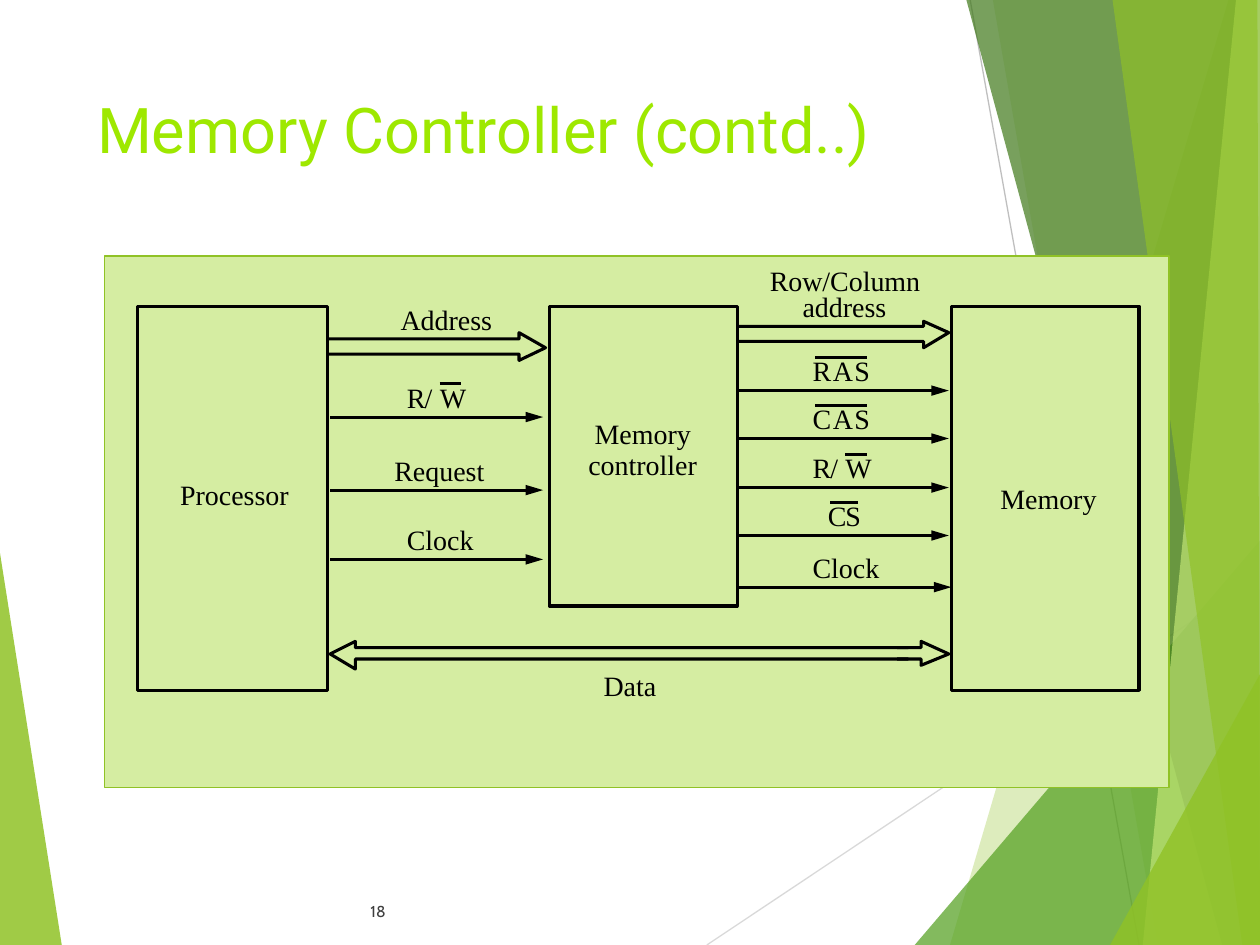
from lxml import etree
from pptx import Presentation
from pptx import util as u
from pptx.dml.color import RGBColor
from pptx.enum import shapes, text
from pptx.oxml.ns import qn

# Theme: colours, fonts and sizes
THEME = {
    "title": {"font": "Roboto", "size": 36, "color": "9EE800"},
    "number": {"font": "Cabin", "size": 9, "color": "3F3F3F"},
    "label": {"font": "Times New Roman", "size": 16, "color": "000000"},
    "ink": ("000000", 1.75),
    "panel": "D5EDA2",
    "accent": ("90C226", 1),
}

# Content, positions in inches
WIDTH, HEIGHT = 10, 7.5
TITLE = ("Memory Controller (contd..)", (0.67, 0.67, 6.94, 1.44))
NUMBER = ("18", (2.89, 7.08, 6.02, 0.3))
PANEL = (0.83, 2.03, 8.45, 4.22)

RAYS = [((5.61, 7.5), (10, 4.57), "D9D9D9"), ((7.7, 0), (9.04, 7.5), "BFBFBF")]
LEFT_FACET = ("90C226", 85, [(0, 4.39), (0.49, 7.5), (0, 7.5)])
RIGHT_FACETS = [  # colour, opacity, points
    ("90C226", 30, [(9.75, 0), (7.54, 7.5), (10, 7.5), (10, 0)]),
    ("90C226", 20, [(7.88, 0), (9.19, 7.5), (10, 7.5), (10, 0)]),
    ("54A021", 72, [(7.26, 7.5), (10, 4.29), (10, 7.5)]),
    ("3F7819", 70, [(7.67, 0), (9.7, 7.5), (10, 7.5), (10, 0)]),
    ("C0E474", 70, [(9.81, 0), (9.07, 7.5), (10, 7.5), (10, 0)]),
    ("90C226", 65, [(8.83, 0), (9.86, 7.5), (10, 7.5), (9.98, 0)]),
    ("90C226", 80, [(8.81, 7.5), (10, 5.35), (10, 7.5)]),
]

UNITS = [(1.09, 2.43, 1.51, 3.05), (7.55, 2.43, 1.49, 3.05), (4.36, 2.43, 1.49, 2.38)]
LABELS = [  # text, left, top, width
    ("Processor", 1.43, 3.79, 0.87),
    ("Memory", 4.72, 3.31, 0.77),
    ("controller", 4.67, 3.55, 0.87),
    ("Memory", 7.94, 3.82, 0.77),
    ("Address", 3.18, 2.4, 0.73),
    ("Row/Column", 6.11, 2.09, 1.2),
    ("address", 6.37, 2.3, 0.67),
    ("Data", 4.79, 5.31, 0.42),
]
BUSES = [  # tail, neck, tip, then heights: head top, top, tip, bottom, head bottom
    (5.85, 7.33, 7.53, (2.55, 2.59, 2.64, 2.71, 2.76)),
    (7.21, 2.82, 2.62, (5.09, 5.14, 5.19, 5.23, 5.31)),
    (7.12, 7.31, 7.53, (5.09, 5.14, 5.19, 5.23, 5.28)),
    (2.6, 4.12, 4.33, (2.64, 2.69, 2.76, 2.81, 2.86)),
]
SIGNALS = [  # name, label left, line height, line start, line end
    ("RAS", 6.45, 3.1, 5.85, 7.53),
    ("CAS", 6.45, 3.48, 5.85, 7.53),
    ("R/W", 6.45, 3.87, 5.85, 7.53),
    ("CS", 6.57, 4.25, 5.85, 7.53),
    ("Clock", 6.45, 4.66, 5.85, 7.55),
    ("R/W", 3.23, 3.31, 2.62, 4.31),
    ("Request", 3.13, 3.89, 2.62, 4.31),
    ("Clock", 3.23, 4.44, 2.62, 4.31),
]
# Overlined names: offset of each letter, and start and end of the bar
BARRED = {
    "RAS": ((0, 0.16, 0.33), (0.02, 0.43)),
    "CAS": ((0, 0.16, 0.33), (0.02, 0.43)),
    "R/W": ((0, 0.14, 0.26), (0.26, 0.43)),
    "CS": ((0, 0.14), (0.02, 0.24)),
}
WORD_WIDTHS = {"R": 0.15, "A": 0.16, "S": 0.12, "C": 0.15, "/": 0.06, "W": 0.21,
               "Clock": 0.53, "Request": 0.72}
LABEL_HEIGHT, LABEL_RISE, BAR_RISE = 0.27, 0.29, 0.265


def length(inches):
    return u.Cm(inches * 2.54)


def assign(target, values):
    for name, value in values.items():
        setattr(target, name, value)


def set_line(shape, color, width):
    shape.line.color.rgb = RGBColor.from_string(color)
    shape.line.width = u.Pt(width)


def set_fill(shape, color, opacity=100):
    shape.fill.solid()
    shape.fill.fore_color.rgb = RGBColor.from_string(color)
    if opacity < 100:
        tint = shape.fill._xPr.find(qn("a:solidFill"))[0]
        etree.SubElement(tint, qn("a:alpha"), val=str(opacity * 1000))


def write(box, words, style, inset, **frame_values):
    frame = box.text_frame
    margins = {f"margin_{side}": length(inset) for side in ("left", "right", "top", "bottom")}
    assign(frame, {**margins, **frame_values})
    para = frame.paragraphs[0]
    para.alignment = text.PP_ALIGN.LEFT
    span = para.add_run()
    span.text = words
    assign(span.font, {"name": style["font"], "size": u.Pt(style["size"])})
    span.font.color.rgb = RGBColor.from_string(style["color"])


def add_label(page, words, left, top, width):
    box = page.shapes.add_textbox(*map(length, (left, top, width, LABEL_HEIGHT)))
    write(box, words, THEME["label"], 0, word_wrap=False,
          auto_size=text.MSO_AUTO_SIZE.SHAPE_TO_FIT_TEXT)


def add_line(page, start, end, color, width, arrow=False):
    line = page.shapes.add_connector(shapes.MSO_CONNECTOR.STRAIGHT, *map(length, start + end))
    set_line(line, color, width)
    if arrow:
        etree.SubElement(line.line._get_or_add_ln(), qn("a:tailEnd"),
                         type="triangle", w="med", len="lg")
    etree.SubElement(line._element.spPr, qn("a:effectLst"))


def add_outline(page, points, close):
    points = [tuple(map(length, point)) for point in points]
    builder = page.shapes.build_freeform(*points[0])
    builder.add_line_segments(points[1:], close=close)
    shape = builder.convert_to_shape()
    shape.shadow.inherit = False
    return shape


def add_facet(page, color, opacity, points):
    facet = add_outline(page, points, close=True)
    set_fill(facet, color, opacity)
    facet.line.fill.background()


def add_rectangle(page, area, line, fill=None):
    box = page.shapes.add_shape(shapes.MSO_SHAPE.RECTANGLE, *map(length, area))
    box.shadow.inherit = False
    set_line(box, *line)
    if fill:
        set_fill(box, fill)
    else:
        box.fill.background()


def add_bus(page, tail, neck, tip, heights):
    head_top, top, middle, bottom, head_bottom = heights
    bus = add_outline(page, [(tail, bottom), (neck, bottom), (neck, head_bottom), (tip, middle),
                             (neck, head_top), (neck, top), (tail, top)], close=False)
    bus.fill.background()
    set_line(bus, *THEME["ink"])


def add_signal(page, name, left, height, start, end):
    add_line(page, (start, height), (end, height), *THEME["ink"], arrow=True)
    top = height - LABEL_RISE
    if name not in BARRED:
        add_label(page, name, left, top, WORD_WIDTHS[name])
        return
    offsets, (bar_start, bar_end) = BARRED[name]
    for letter, offset in zip(name, offsets):
        add_label(page, letter, left + offset, top, WORD_WIDTHS[letter])
    bar = height - BAR_RISE
    add_line(page, (left + bar_start, bar), (left + bar_end, bar), *THEME["ink"])


def main():
    deck = Presentation()
    assign(deck, {"slide_width": length(WIDTH), "slide_height": length(HEIGHT)})
    page = deck.slides.add_slide(deck.slide_layouts[5])

    # Background facets
    add_facet(page, *LEFT_FACET)
    for start, end, color in RAYS:
        add_line(page, start, end, color, 0.75)
    for facet in RIGHT_FACETS:
        add_facet(page, *facet)

    # Title, brought in front of the facets, and page number
    words, area = TITLE
    title = page.shapes.title
    assign(title, dict(zip(("left", "top", "width", "height"), map(length, area))))
    write(title, words, THEME["title"], 0.1, margin_top=length(0.05), word_wrap=True,
          vertical_anchor=text.MSO_ANCHOR.TOP, auto_size=text.MSO_AUTO_SIZE.NONE)
    title.element.getparent().append(title.element)
    words, area = NUMBER
    box = page.shapes.add_textbox(*map(length, area))
    write(box, words, THEME["number"], 0.05, word_wrap=True,
          vertical_anchor=text.MSO_ANCHOR.MIDDLE)

    # Diagram
    add_rectangle(page, PANEL, THEME["accent"], THEME["panel"])
    for bus in BUSES:
        add_bus(page, *bus)
    for signal in SIGNALS:
        add_signal(page, *signal)
    for label in LABELS:
        add_label(page, *label)
    for area in UNITS:
        add_rectangle(page, area, THEME["ink"])

    deck.save("out.pptx")


if __name__ == "__main__":
    main()
